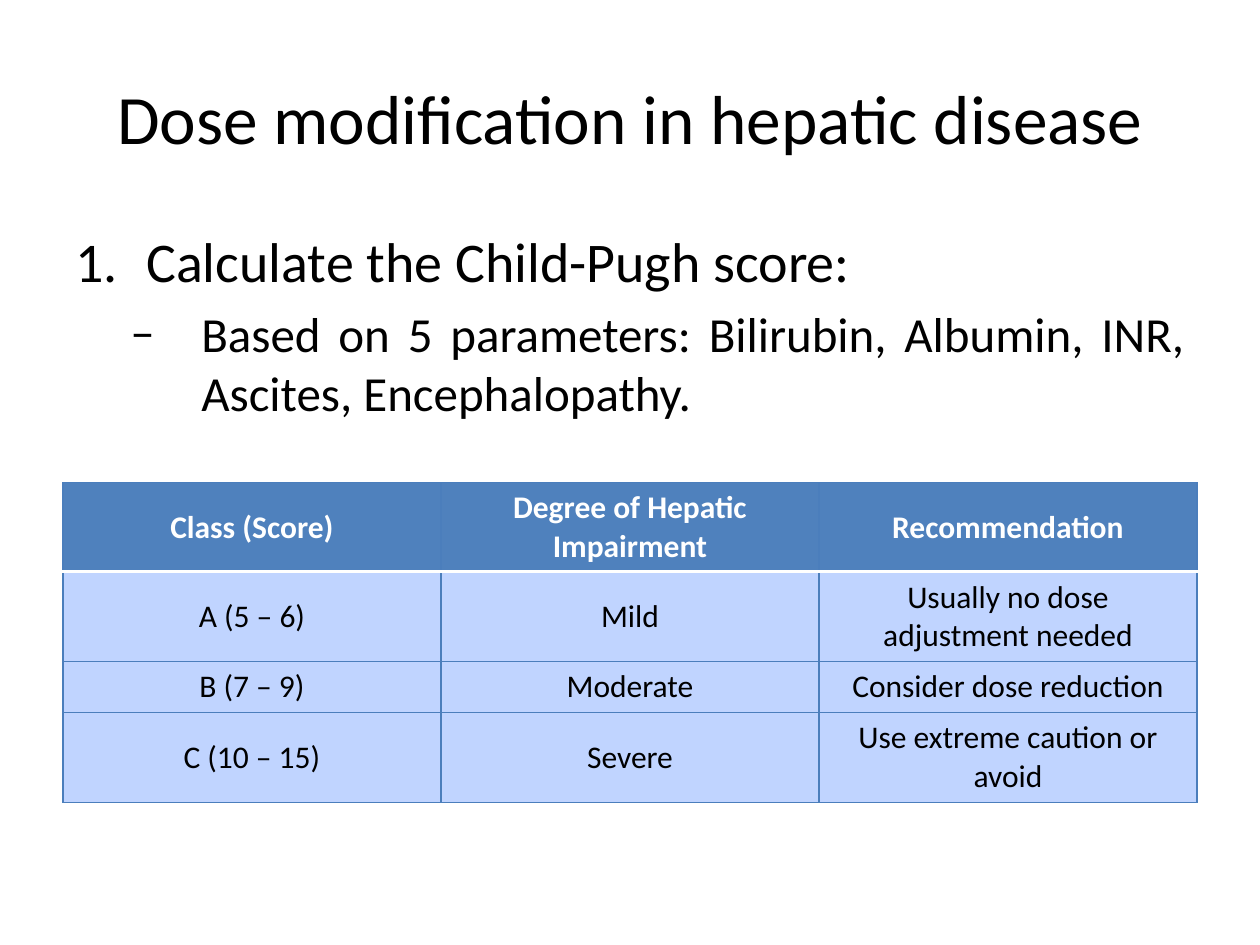
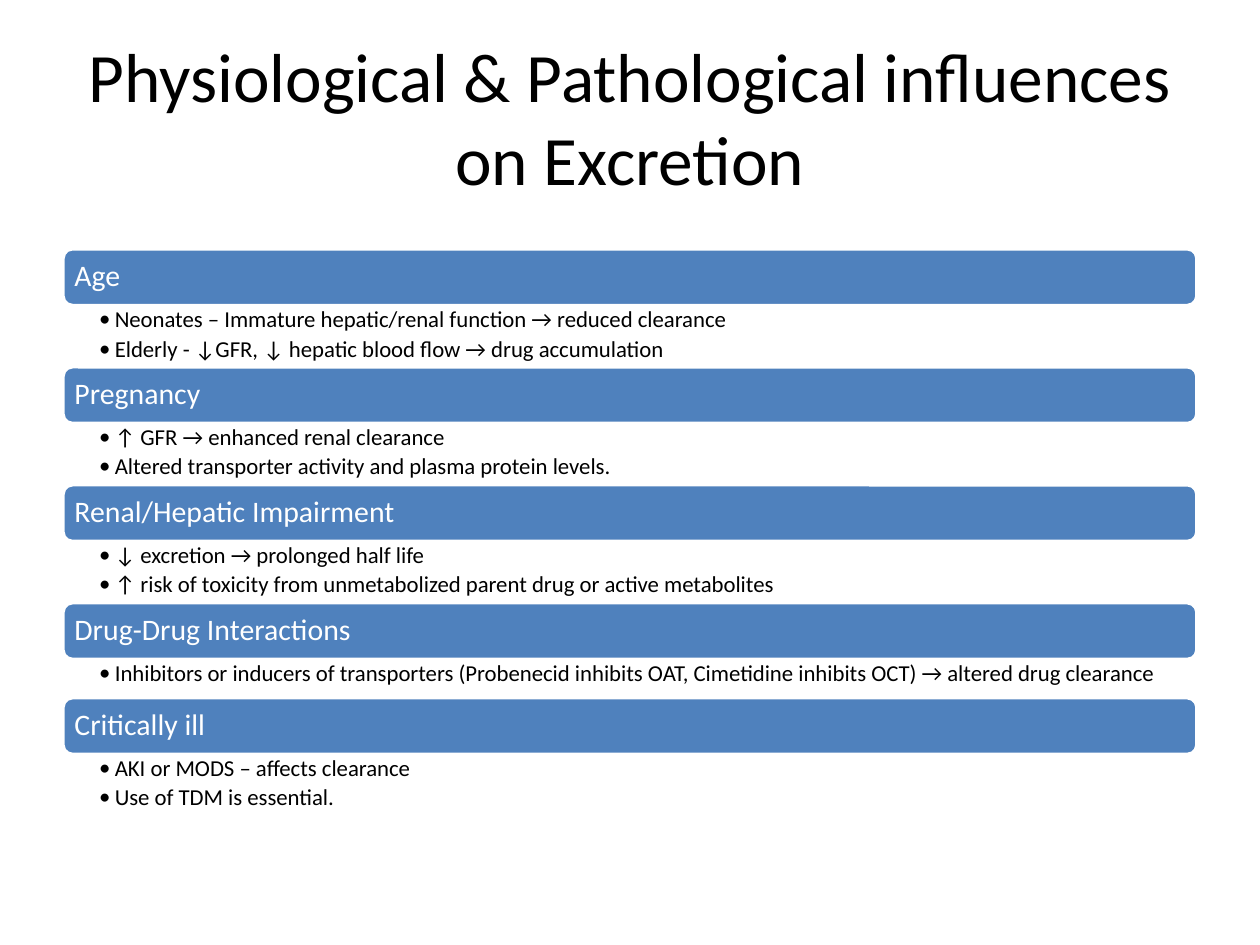
from lxml.etree import SubElement
from pptx import Presentation
from pptx.dml.color import RGBColor
from pptx.enum.shapes import MSO_SHAPE
from pptx.enum.text import MSO_ANCHOR, PP_ALIGN
from pptx.oxml import parse_xml
from pptx.oxml.ns import nsdecls, qn
from pptx.util import Pt

FONT = "Calibri"
BLACK, WHITE = "000000", "FFFFFF"
BLUE, BORDER, PALE = "4F81BD", "4B7EBC", "C0D4FF"
LEFT, WIDTH = 36, 648
HEAD_H = 32.4
ITEMS_H = {1: 21.9, 2: 35}

SCORES = [
    ("Class (Score)", "Degree of Hepatic Impairment", "Recommendation"),
    ("A (5 – 6)", "Mild", "Usually no dose adjustment needed"),
    ("B (7 – 9)", "Moderate", "Consider dose reduction"),
    ("C (10 – 15)", "Severe", "Use extreme caution or avoid"),
]
ROW_HEIGHTS = (51, 51, 29.2, 51.4)

INFLUENCES = [
    ("Age", ["Neonates – Immature hepatic/renal function → reduced clearance",
             "Elderly - ↓GFR, ↓ hepatic blood flow → drug accumulation"]),
    ("Pregnancy", ["↑ GFR → enhanced renal clearance",
                   "Altered transporter activity and plasma protein levels."]),
    ("Renal/Hepatic Impairment", [
        "↓ excretion → prolonged half life",
        "↑ risk of toxicity from unmetabolized parent drug or active metabolites"]),
    ("Drug-Drug Interactions", [
        "Inhibitors or inducers of transporters (Probenecid inhibits OAT, "
        "Cimetidine inhibits OCT) → altered drug clearance"]),
    ("Critically ill", ["AKI or MODS – affects clearance",
                        "Use of TDM is essential."]),
]


def rgb(color):
    return RGBColor.from_string(color)


def set_all(obj, values):
    for name, value in values.items():
        setattr(obj, name, value)


def write(p, text, size, color=BLACK, bold=False, **paragraph):
    set_all(p, paragraph)
    r = p.add_run()
    r.text = text
    set_all(r.font, {"name": FONT, "size": Pt(size), "bold": bold})
    r.font.color.rgb = rgb(color)


def set_bullet(p, margin, hang, tag="buChar", **mark):
    """Give p a hanging bullet: buChar with char=, or buAutoNum with type=."""
    pPr = p._p.get_or_add_pPr()
    pPr.set("marL", str(Pt(margin)))
    pPr.set("indent", str(-Pt(hang)))
    SubElement(pPr, qn("a:buFont"), typeface=FONT)
    SubElement(pPr, qn(f"a:{tag}"), **mark)


def set_frame(tf, anchor=MSO_ANCHOR.TOP, insets=(7.2, 3.6, 7.2, 3.6)):
    set_all(tf, {"word_wrap": True, "vertical_anchor": anchor})
    sides = ("margin_left", "margin_top", "margin_right", "margin_bottom")
    set_all(tf, {side: Pt(inset) for side, inset in zip(sides, insets)})
    return tf


def add_text(slide, top, height, **frame):
    box = slide.shapes.add_textbox(Pt(LEFT), Pt(top), Pt(WIDTH), Pt(height))
    return set_frame(box.text_frame, **frame)


def add_paragraphs(tf, count):
    return [tf.paragraphs[0]] + [tf.add_paragraph() for _ in range(count - 1)]


def add_titled_slide(prs, title):
    slide = prs.slides.add_slide(prs.slide_layouts[6])
    tf = add_text(slide, 21.6, 90, anchor=MSO_ANCHOR.MIDDLE)
    write(tf.paragraphs[0], title, 39.6, alignment=PP_ALIGN.CENTER)
    return slide


def add_steps(slide):
    step, detail = add_paragraphs(add_text(slide, 126, 120), 2)
    write(step, "Calculate the Child-Pugh score:", 32,
          alignment=PP_ALIGN.JUSTIFY, space_before=Pt(6.4))
    set_bullet(step, 40.5, 40.5, "buAutoNum", type="arabicPeriod")
    write(detail, "Based on 5 parameters: Bilirubin, Albumin, INR, Ascites, Encephalopathy.",
          28, alignment=PP_ALIGN.JUSTIFY, space_before=Pt(5.6))
    set_bullet(detail, 72, 40.5, char="–")


def set_borders(cell, **special):
    """Draw thin blue borders, with (colour, width) exceptions by side: L, R, T, B."""
    tcPr = cell._tc.get_or_add_tcPr()
    for i, side in enumerate("LRTB"):
        color, width = special.get(side, (BORDER, 0.75))
        tcPr.insert(i, parse_xml(
            f'<a:ln{side} {nsdecls("a")} w="{Pt(width)}"><a:solidFill>'
            f'<a:srgbClr val="{color}"/></a:solidFill></a:ln{side}>'))


def add_score_table(slide):
    table = slide.shapes.add_table(len(SCORES), len(SCORES[0]), Pt(LEFT), Pt(275.8),
                                   Pt(WIDTH), Pt(sum(ROW_HEIGHTS))).table
    header_rule = (WHITE, 2)
    for i, (texts, height) in enumerate(zip(SCORES, ROW_HEIGHTS)):
        table.rows[i].height = Pt(height)
        header = i == 0
        rules = {0: {"B": header_rule}, 1: {"T": header_rule}}.get(i, {})
        for j, text in enumerate(texts):
            cell = table.cell(i, j)
            cell.vertical_anchor = MSO_ANCHOR.MIDDLE
            cell.fill.solid()
            cell.fill.fore_color.rgb = rgb(BLUE if header else PALE)
            set_borders(cell, **rules)
            write(cell.text_frame.paragraphs[0], text, 18, WHITE if header else BLACK,
                  header, alignment=PP_ALIGN.CENTER)


def add_heading_bar(slide, top, text):
    sp = slide.shapes.add_shape(MSO_SHAPE.ROUNDED_RECTANGLE,
                                Pt(LEFT), Pt(top), Pt(WIDTH), Pt(HEAD_H))
    sp.shadow.inherit = False
    sp.fill.solid()
    sp.fill.fore_color.rgb = rgb(BLUE)
    sp.line.color.rgb = rgb(WHITE)
    sp.line.width = Pt(2)
    tf = set_frame(sp.text_frame, MSO_ANCHOR.MIDDLE, (5, 5, 5, 5))
    write(tf.paragraphs[0], text, 17, WHITE, alignment=PP_ALIGN.LEFT, line_spacing=0.9)


def add_items(slide, top, items):
    tf = add_text(slide, top, ITEMS_H[len(items)], insets=(20.6, 1.5, 9.2, 1.5))
    for p, item in zip(add_paragraphs(tf, len(items)), items):
        write(p, item, 13, line_spacing=0.9, space_after=Pt(2.6))
        set_bullet(p, 9, 9, char="•")


def add_influences(slide):
    top = 142.2
    for heading, items in INFLUENCES:
        add_heading_bar(slide, top, heading)
        add_items(slide, top + HEAD_H, items)
        top += HEAD_H + ITEMS_H[len(items)]


def main():
    prs = Presentation()
    set_all(prs, {"slide_width": Pt(720), "slide_height": Pt(540)})
    slide = add_titled_slide(prs, "Dose modification in hepatic disease")
    add_steps(slide)
    add_score_table(slide)
    slide = add_titled_slide(prs, "Physiological & Pathological influences on Excretion")
    add_influences(slide)
    prs.save("out.pptx")


if __name__ == "__main__":
    main()
